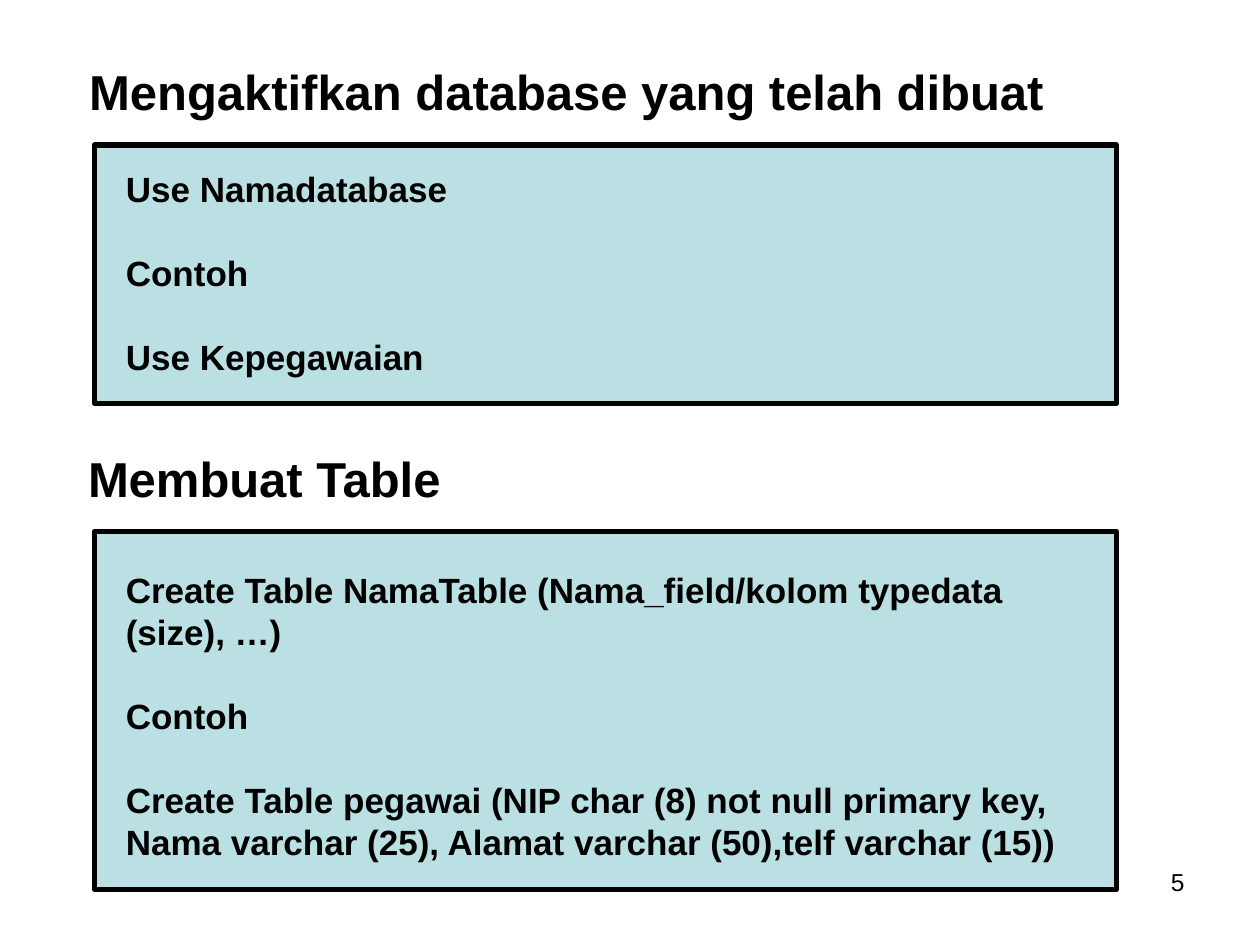
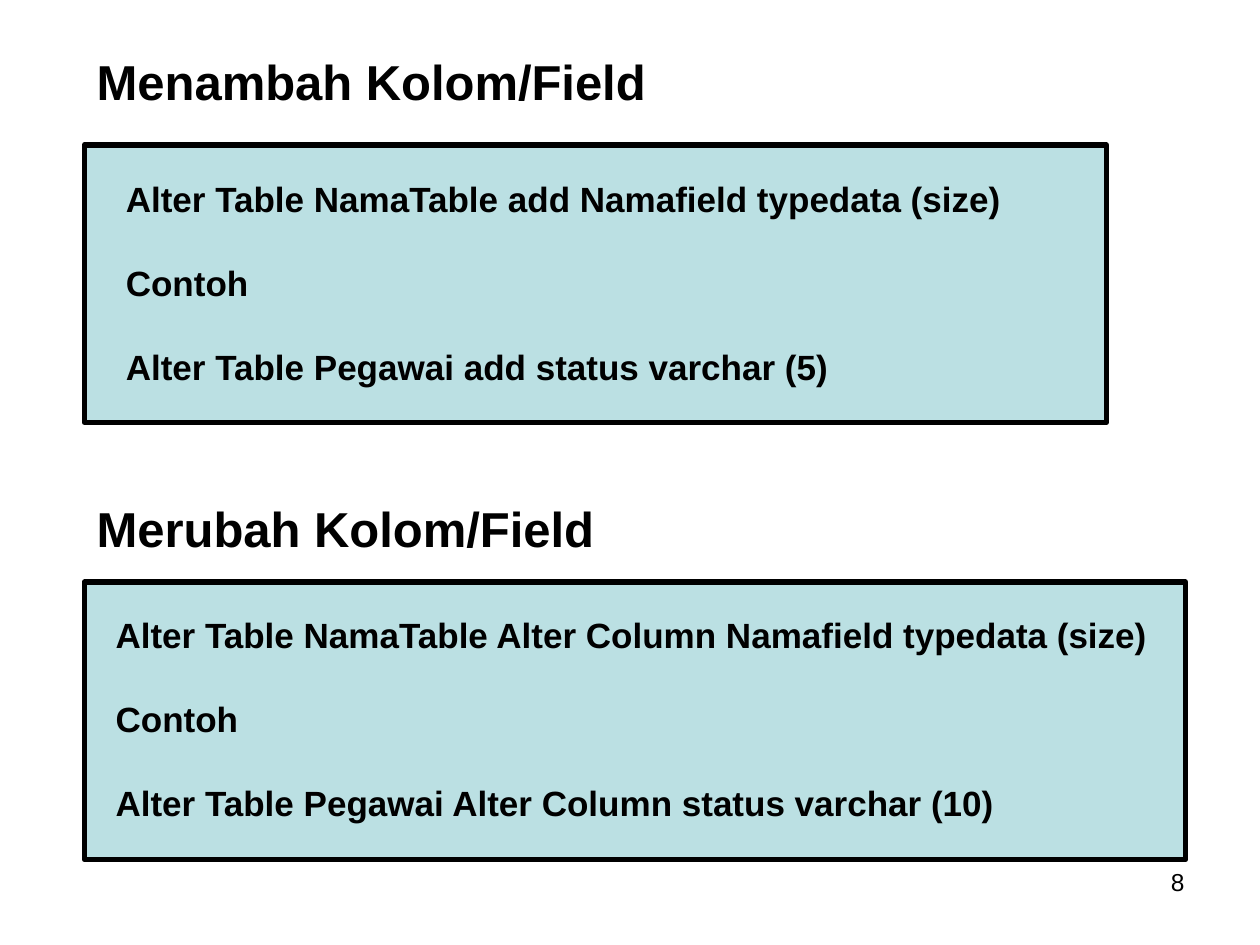
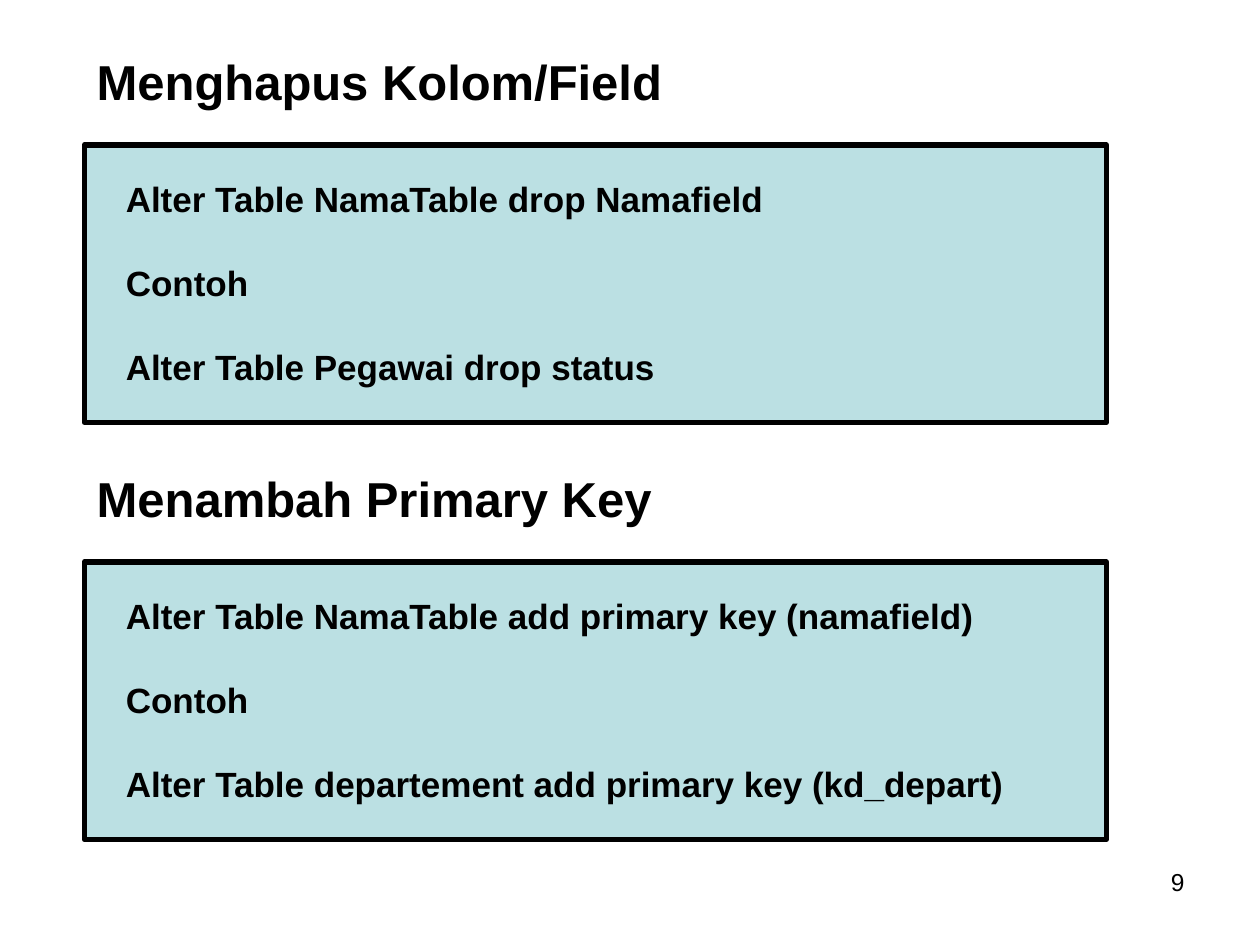
from dataclasses import dataclass

from pptx import Presentation
from pptx.dml.color import RGBColor as Rgb
from pptx.enum import shapes as s, text as t
from pptx.util import Pt


@dataclass(frozen=True)
class Theme:
    font: str = "Arial"
    ink: Rgb = Rgb(0x00, 0x00, 0x00)
    fill: Rgb = Rgb(0xBB, 0xE0, 0xE3)
    edge: float = 3
    head: float = 28
    body: float = 20
    foot: float = 14
    pitch: float = 1.2


@dataclass(frozen=True)
class Box:
    left: float
    top: float
    width: float
    height: float = 0

    def span(self) -> tuple:
        return tuple(Pt(v) for v in (self.left, self.top, self.width, self.height))


@dataclass(frozen=True)
class Topic:
    title: str
    lines: tuple
    head: Box
    panel: Box
    body: Box
    wrap_head: bool = True
    wrap_body: bool = False
    rows: int = 5


@dataclass(frozen=True)
class Page:
    number: int
    topics: tuple


THEME = Theme()
PAD = 3.6
FOOT = Box(516.2, 491.8, 167.8, 37.4)
LEFT, WIDE, TALL = 48.2, 584, 158.6


def write(slide, box: Box, lines: tuple, size: float, bold: bool = True,
          wrap: bool = True, align=t.PP_ALIGN.LEFT) -> None:
    frame = slide.shapes.add_textbox(*box.span()).text_frame
    style = dict(word_wrap=wrap, auto_size=t.MSO_AUTO_SIZE.NONE,
                 margin_left=Pt(2 * PAD), margin_right=Pt(2 * PAD),
                 margin_top=Pt(PAD), margin_bottom=Pt(PAD))
    for key, value in style.items():
        setattr(frame, key, value)
    pitch = Pt(size * THEME.pitch)
    for i, line in enumerate(lines):
        para = frame.paragraphs[0] if i == 0 else frame.add_paragraph()
        form = dict(alignment=align, line_spacing=pitch, space_before=pitch if i else Pt(0))
        for key, value in form.items():
            setattr(para, key, value)
        run = para.add_run()
        run.text = line
        for key, value in dict(name=THEME.font, size=Pt(size), bold=bold).items():
            setattr(run.font, key, value)
        run.font.color.rgb = THEME.ink


def frame(slide, box: Box) -> None:
    panel = slide.shapes.add_shape(s.MSO_SHAPE.RECTANGLE, *box.span())
    panel.shadow.inherit = False
    panel.fill.solid()
    panel.fill.fore_color.rgb = THEME.fill
    panel.line.color.rgb = THEME.ink
    panel.line.width = Pt(THEME.edge)


def tall(box: Box, rows: int, size: float) -> Box:
    return Box(box.left, box.top, box.width, rows * size * THEME.pitch + 2 * PAD)


def draw(slide, topic: Topic) -> None:
    frame(slide, topic.panel)
    write(slide, tall(topic.head, 1, THEME.head), (topic.title,), THEME.head,
          wrap=topic.wrap_head)
    write(slide, tall(topic.body, topic.rows, THEME.body), topic.lines, THEME.body,
          wrap=topic.wrap_body)


def alter(title: str, first: str, last: str, head: float, panel: float, body: float,
          width: float, left: float = 64.8, wide: float = WIDE) -> Topic:
    lines = (f"Alter Table NamaTable {first}", "Contoh", f"Alter Table {last}")
    return Topic(title, lines, Box(LEFT, head, 471), Box(LEFT, panel, wide, TALL),
                 Box(left, body, width))


PAGES = (
    Page(5, (
        Topic("Mengaktifkan database yang telah dibuat",
              ("Use Namadatabase", "Contoh", "Use Kepegawaian"),
              Box(43.9, 31.7, 559.4), Box(54, 82.8, WIDE, 147.6),
              Box(64.8, 92.2, 198), wrap_head=False),
        Topic("Membuat Table",
              ("Create Table NamaTable (Nama_field/kolom typedata (size), …)",
               "Contoh",
               "Create Table pegawai (NIP char (8) not null primary key, "
               "Nama varchar (25), Alamat varchar (50),telf varchar (15))"),
              Box(43.2, 252.7, 217.4), Box(54, 303.8, WIDE, 204.5),
              Box(64.8, 321.1, 559.4), wrap_head=False, wrap_body=True, rows=7),
    )),
    Page(8, (
        alter("Menambah Kolom/Field", "add Namafield typedata (size)",
              "Pegawai add status varchar (5)", 25.9, 82.8, 97.9, 517.7),
        alter("Merubah Kolom/Field", "Alter Column Namafield typedata (size)",
              "Pegawai Alter Column status varchar (10)", 281.5, 332.6, 347,
              607.7, left=59, wide=629.3),
    )),
    Page(9, (
        alter("Menghapus Kolom/Field", "drop Namafield",
              "Pegawai drop status", 25.9, 82.8, 97.9, 381.6),
        alter("Menambah Primary Key", "add primary key (namafield)",
              "departement add primary key (kd_depart)", 264.2, 321.1, 336.2, 517.7),
    )),
)


def main() -> None:
    deck = Presentation()
    deck.slide_width, deck.slide_height = Pt(720), Pt(540)
    for page in PAGES:
        slide = deck.slides.add_slide(deck.slide_layouts[6])
        write(slide, FOOT, (str(page.number),), THEME.foot, bold=False,
              align=t.PP_ALIGN.RIGHT)
        for topic in page.topics:
            draw(slide, topic)
    deck.save("out.pptx")


if __name__ == "__main__":
    main()
